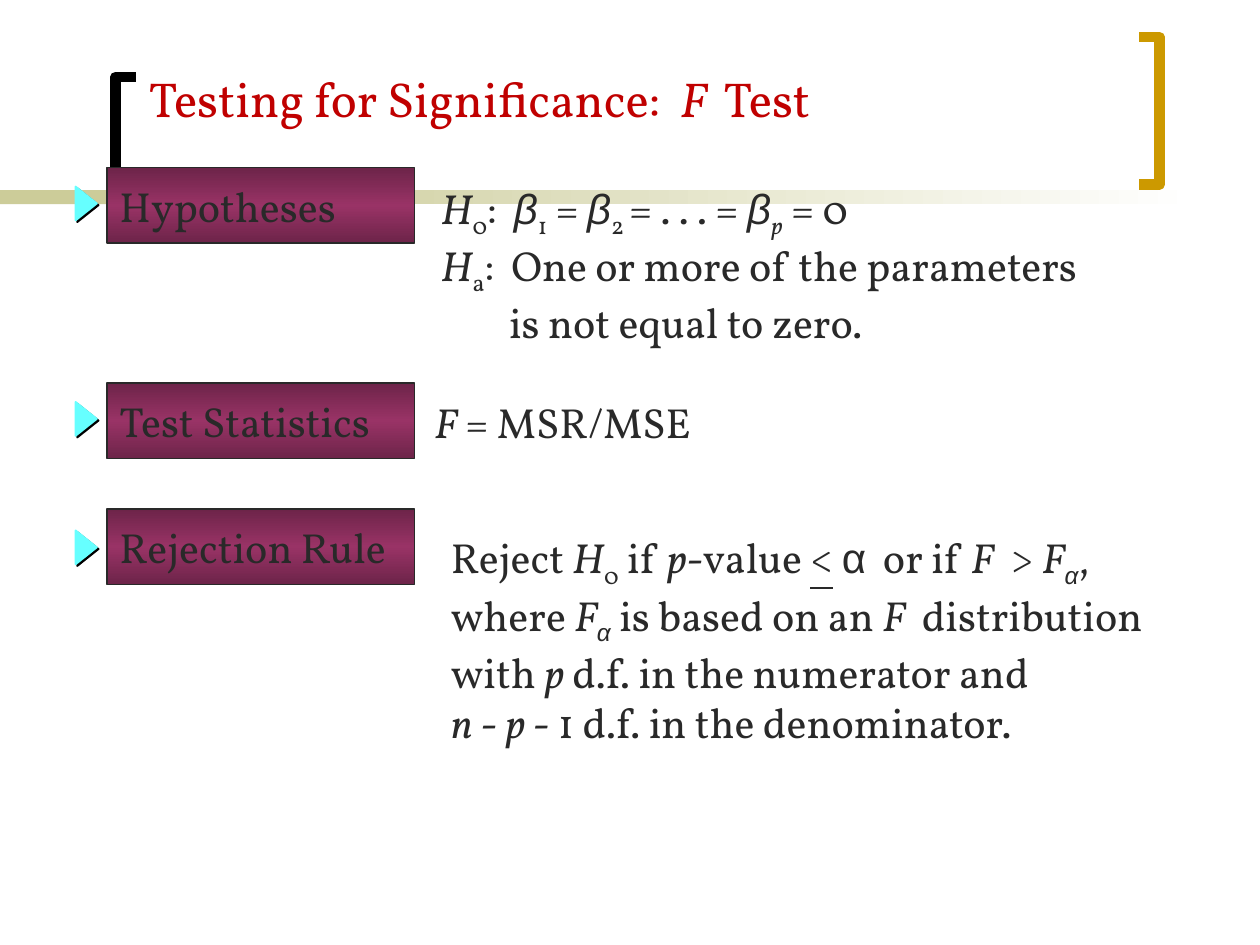
from lxml import etree
from pptx import Presentation
from pptx.dml.color import RGBColor
from pptx.enum.shapes import MSO_SHAPE
from pptx.enum.text import MSO_ANCHOR
from pptx.oxml.ns import qn
from pptx.util import Pt

RECTANGLE = MSO_SHAPE.RECTANGLE
TRIANGLE = MSO_SHAPE.ISOSCELES_TRIANGLE
MIDDLE = MSO_ANCHOR.MIDDLE

COLORS = {
    "title": "C00000", "ink": "292929", "khaki": "CCCC99", "white": "FFFFFF",
    "black": "000000", "gold": "CC9900", "plum": "993366", "dark plum": "6D2449",
    "cyan": "66FFFF",
}
SERIF, SANS = "Vollkorn", "Arial"

# Content: a paragraph is a list of (text, style) spans;
# style letters are i = italic, s = subscript, u = underline, a = Arial
TITLE = [[("Testing for Significance:  ", ""), ("F ", "i"), (" Test", "")]]

HYPOTHESES = [
    [("H", "i"), ("0", "s"), (":  ", ""), ("β", "ia"), ("1", "s"), (" = ", ""),
     ("β", "ia"), ("2 ", "s"), ("= . . . = ", ""), ("β", "ia"), ("p  ", "is"),
     ("= 0", "")],
    [("H", "i"), ("a", "s"), (":  One or more of the parameters", "")],
    [("is not equal to zero.", "")],
]
STATISTIC = [[("F", "i"), (" = MSR/MSE", "")]]
REJECTION = [
    [("Reject ", ""), ("H", "i"), ("0", "s"), (" if ", ""), ("p", "i"),
     ("-value ", ""), ("<", "u"), (" ", ""), ("α", "a"), ("  or if ", ""),
     ("F", "i"), ("  > ", ""), ("F", "i"), ("α", "ias"), (",", "")],
    [("where ", ""), ("F", "i"), ("α", "ias"), (" is based on an ", ""),
     ("F", "i"), ("  distribution", "")],
    [("with ", ""), ("p", "i"), (" d.f. in the numerator and", "")],
    [("n", "i"), (" - ", ""), ("p", "i"), (" - 1 d.f. in the denominator.", "")],
]

# label, top of label, top of arrow, text, frame of text (left, top, width, height)
SECTIONS = [
    ("Hypotheses", 95.8, 110.2, HYPOTHESES, (244.8, 92.9, 410, 116.6)),
    ("Test Statistics", 218.9, 233.3, STATISTIC, (241.2, 217.4, 183, 46.8)),
    ("Rejection Rule", 290.9, 306.7, REJECTION, (250.6, 298.8, 425, 133.2)),
]
LABEL_LEFT, LABEL_WIDTH, LABEL_HEIGHT = 61.2, 175.7, 43.2
ARROW_LEFT, ARROW_WIDTH, ARROW_HEIGHT = 39.6, 19.4, 12.2
HANGING_LINE = {2: 39}  # paragraph number in the hypotheses: left margin


def rgb(name):
    return RGBColor.from_string(COLORS[name])


def write(shape, paragraphs, size=24, color="ink", margins=None):
    frame = shape.text_frame
    frame.word_wrap = True
    frame.vertical_anchor = MIDDLE
    for number, spans in enumerate(paragraphs):
        para = frame.paragraphs[0] if number == 0 else frame.add_paragraph()
        if margins and number in margins:
            para._p.get_or_add_pPr().set("marL", str(Pt(margins[number])))
        for text, style in spans:
            span = para.add_run()
            span.text = text
            span.font.name = SANS if "a" in style else SERIF
            span.font.size = Pt(size)
            span.font.color.rgb = rgb(color)
            span.font.italic = "i" in style
            span.font.underline = "u" in style
            if "s" in style:
                span._r.get_or_add_rPr().set("baseline", "-25000")


def add_box(page, left, top, width, height, kind=RECTANGLE, fill=None, line=None):
    box = page.shapes.add_shape(kind, Pt(left), Pt(top), Pt(width), Pt(height))
    box.shadow.inherit = False
    if fill:
        box.fill.solid()
        box.fill.fore_color.rgb = rgb(fill)
    if line:
        box.line.color.rgb = rgb(line)
        box.line.width = Pt(1)
    else:
        box.line.fill.background()
    return box


def add_text(page, frame, paragraphs, **style):
    box = page.shapes.add_textbox(*(Pt(length) for length in frame))
    write(box, paragraphs, **style)


def set_gradient(box, names, angle):
    box.fill.gradient()
    stops = box.fill._fill._gradFill.find(qn("a:gsLst"))
    for stop in list(stops):
        stops.remove(stop)
    for number, name in enumerate(names):
        position = 100000 * number // (len(names) - 1)
        stop = etree.SubElement(stops, qn("a:gs"), pos=str(position))
        etree.SubElement(stop, qn("a:srgbClr"), val=COLORS[name])
    box.fill.gradient_angle = angle


def add_bracket(page, points, color):
    builder = page.shapes.build_freeform(Pt(points[0][0]), Pt(points[0][1]))
    builder.add_line_segments([(Pt(x), Pt(y)) for x, y in points[1:]], close=False)
    bracket = builder.convert_to_shape()
    bracket.shadow.inherit = False
    bracket.fill.background()
    bracket.line.color.rgb = rgb(color)
    bracket.line.width = Pt(6)


def add_arrow(page, top):
    arrow = add_box(page, ARROW_LEFT, top, ARROW_WIDTH, ARROW_HEIGHT,
                    kind=TRIANGLE, fill="cyan", line="cyan")
    arrow.rotation = 90
    effects = arrow._element.spPr.find(qn("a:effectLst"))
    shadow = etree.SubElement(effects, qn("a:outerShdw"), dist=str(Pt(1.4)),
                              dir=str(45 * 60000), algn="ctr", rotWithShape="0")
    etree.SubElement(shadow, qn("a:srgbClr"), val=COLORS["black"])


def main():
    deck = Presentation()
    deck.slide_width, deck.slide_height = Pt(720), Pt(540)
    page = deck.slides.add_slide(deck.slide_layouts[6])

    # Band and brackets behind the content
    add_box(page, 0, 108.7, 167.8, 7.9, fill="khaki")
    fade = add_box(page, 113.8, 108.7, 570.2, 7.9)
    set_gradient(fade, ["khaki", "white"], 0)
    add_bracket(page, [(78, 128), (66, 128), (66, 44), (78, 44)], "black")
    add_bracket(page, [(651, 21.3), (662.6, 21.3), (662.6, 105.5), (651, 105.5)], "gold")

    # Title
    add_text(page, (78, 29.5, 612, 53.3), TITLE, size=28, color="title")

    # Labels, explanations and arrows
    for label, label_top, arrow_top, paragraphs, frame in SECTIONS:
        box = add_box(page, LABEL_LEFT, label_top, LABEL_WIDTH, LABEL_HEIGHT, line="ink")
        set_gradient(box, ["dark plum", "plum", "dark plum"], 90)
        write(box, [[(label, "")]])
        box.text_frame.paragraphs[0].alignment = 1  # left
        margins = HANGING_LINE if paragraphs is HYPOTHESES else None
        add_text(page, frame, paragraphs, margins=margins)
        add_arrow(page, arrow_top)

    deck.save("out.pptx")


if __name__ == "__main__":
    main()
